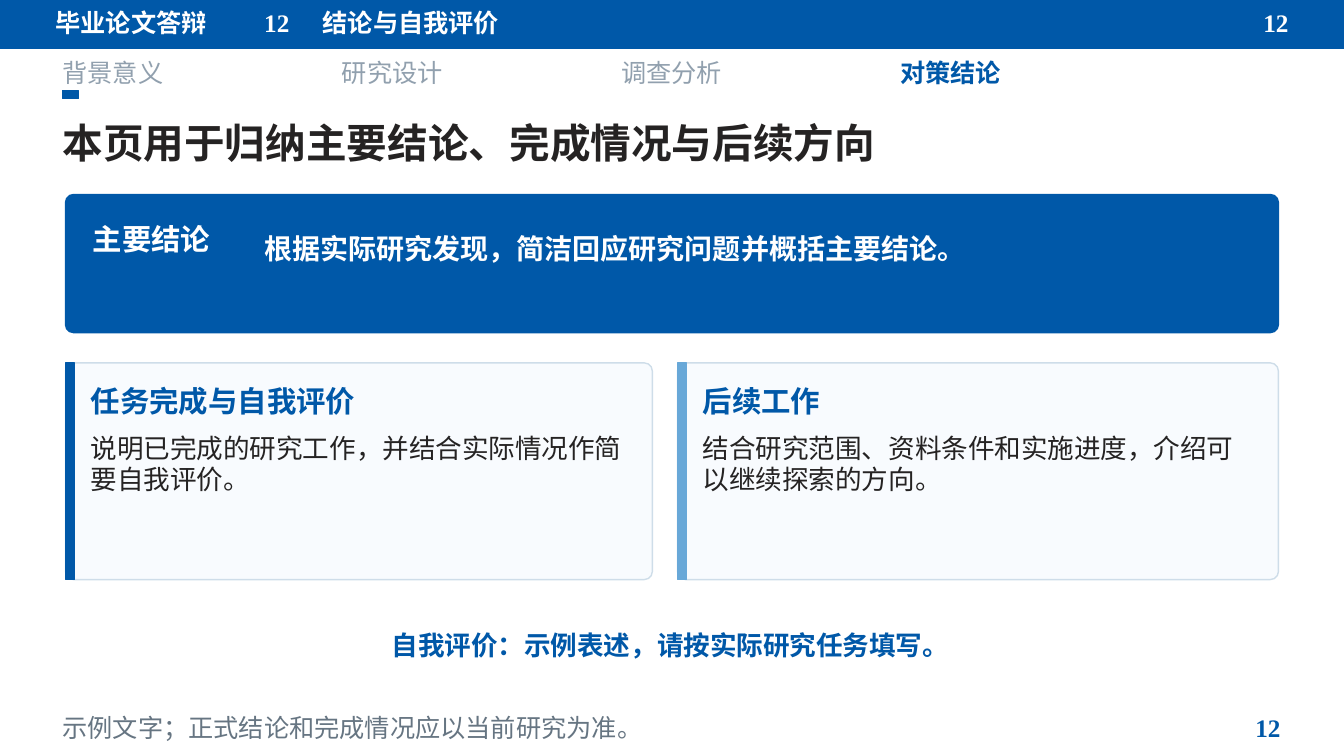
from pptx import Presentation
from pptx.dml.color import RGBColor
from pptx.enum.shapes import MSO_SHAPE as Shape
from pptx.enum.text import MSO_ANCHOR as Anchor, MSO_AUTO_SIZE as Fit, PP_ALIGN as Align
from pptx.oxml.ns import qn
from pptx.util import Inches, Pt
from lxml.etree import SubElement

BLUE, SKY, WHITE, INK = "0058A8", "68A8D8", "FFFFFF", "252323"
PALE, EDGE, MUTED, GREY = "F8FBFE", "CEDDE9", "91A0AE", "667582"
HEAD, BODY, NUM = "Noto Sans CJK JP", "Noto Sans CJK SC", "Times New Roman"
color = RGBColor.from_string

deck = Presentation()
deck.slide_width, deck.slide_height = Inches(13.33), Inches(7.5)
slide = deck.slides.add_slide(deck.slide_layouts[5])


def block(x, y, w, h, fill, line=None, round=None):
    kind = Shape.RECTANGLE if round is None else Shape.ROUNDED_RECTANGLE
    box = slide.shapes.add_shape(kind, Inches(x), Inches(y), Inches(w), Inches(h))
    if round is not None:
        box.adjustments[0] = round
    box.shadow.inherit = False
    box.fill.solid()
    box.fill.fore_color.rgb = color(fill)
    box.line.color.rgb = color(line or fill)
    box.line.width = Pt(1)


def label(x, y, w, h, text, size, tint, face=HEAD, bold=True,
          align=Align.LEFT, anchor=Anchor.MIDDLE, box=None):
    box = box or slide.shapes.add_textbox(0, 0, 0, 0)
    box.left, box.top, box.width, box.height = map(Inches, (x, y, w, h))
    frame = box.text_frame
    frame.text = text
    frame.word_wrap = True
    frame.auto_size = Fit.NONE
    frame.vertical_anchor = anchor
    frame.margin_left = frame.margin_right = frame.margin_top = frame.margin_bottom = 0
    para = frame.paragraphs[0]
    para.alignment = align
    font = para.runs[0].font
    font.size, font.bold, font.name = Pt(size), bold, face
    font.color.rgb = color(tint)
    # East Asian characters take their own font entry
    SubElement(para.runs[0]._r.get_or_add_rPr(), qn("a:ea"), typeface=face)


# Top bar
block(0, 0, 13.33, 0.48, BLUE)
label(0.55, 0.07, 2.05, 0.3, "毕业论文答辩", 18, WHITE)
label(2.62, 0.07, 0.55, 0.3, "12", 18, WHITE, NUM)
label(3.2, 0.07, 5.55, 0.3, "结论与自我评价", 18, WHITE)
label(12.23, 0.07, 0.55, 0.3, "12", 18, WHITE, NUM, align=Align.RIGHT)

# Section tabs, the last one current
tabs = ["背景意义", "研究设计", "调查分析", "对策结论"]
for i, tab in enumerate(tabs):
    now = i == len(tabs) - 1
    label(0.62 + 2.77 * i, 0.57, 2.15, 0.29, tab, 18, BLUE if now else MUTED, bold=now)
block(0.62, 0.9, 0.16, 0.08, BLUE)

# Title
label(0.62, 1.05, 12.1, 0.72, "本页用于归纳主要结论、完成情况与后续方向", 29, INK,
      box=slide.shapes.title)

# Main conclusion
block(0.65, 1.93, 12.03, 1.37, BLUE, round=0.058)
label(0.92, 2.17, 1.55, 0.4, "主要结论", 21, WHITE)
label(2.62, 2.09, 9.58, 0.75, "根据实际研究发现，简洁回应研究问题并概括主要结论。", 20, WHITE, BODY)

# Two cards with a side stripe
cards = [
    (0.65, 5.82, BLUE, "任务完成与自我评价",
     "说明已完成的研究工作，并结合实际情况作简要自我评价。"),
    (6.72, 5.96, SKY, "后续工作",
     "结合研究范围、资料条件和实施进度，介绍可以继续探索的方向。"),
]
for x, w, tint, name, text in cards:
    block(x, 3.6, w, 2.15, PALE, EDGE, 0.037)
    block(x, 3.6, 0.09, 2.15, tint)
    label(x + 0.25, 3.78, w - 0.48, 0.4, name, 21, BLUE)
    label(x + 0.25, 4.28, w - 0.48, 1.31, text, 19, INK, BODY, False, anchor=Anchor.TOP)

# Closing line and footer
label(0.75, 6.21, 11.8, 0.38, "自我评价：示例表述，请按实际研究任务填写。", 19, BLUE, BODY,
      align=Align.CENTER)
label(0.62, 7.08, 11.1, 0.28, "示例文字；正式结论和完成情况应以当前研究为准。", 18, GREY, BODY, False)
label(12.15, 7.08, 0.55, 0.28, "12", 18, BLUE, NUM, align=Align.RIGHT)

deck.save("out.pptx")
